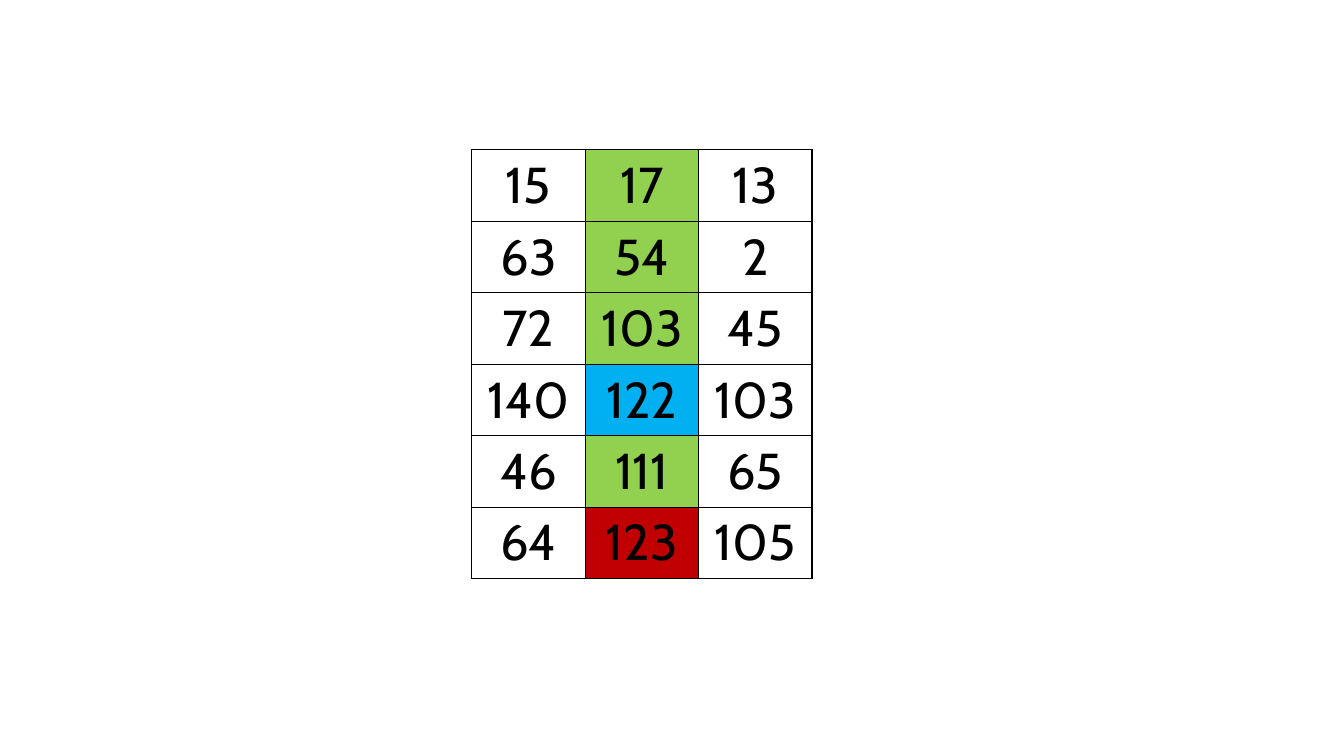
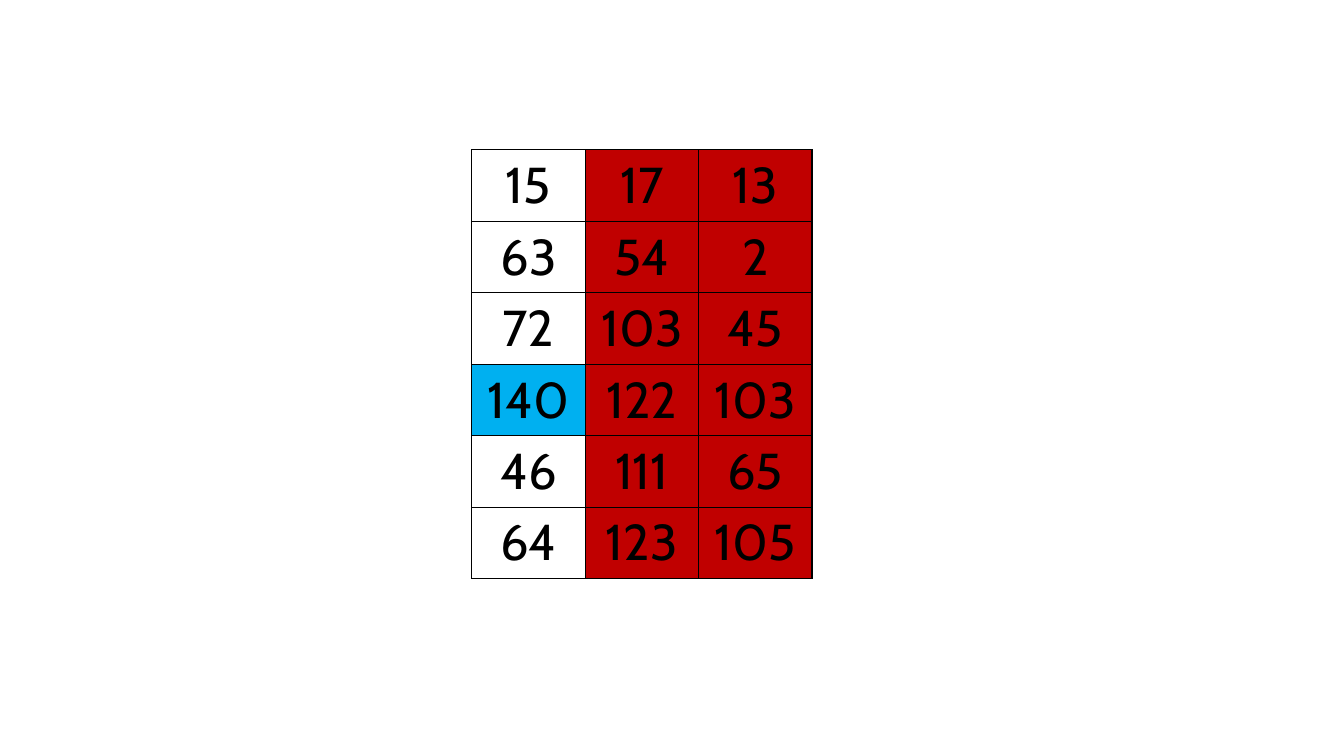
from dataclasses import dataclass

from lxml.etree import SubElement
from pptx import Presentation
from pptx.dml.color import RGBColor
from pptx.enum.text import MSO_ANCHOR, PP_ALIGN
from pptx.oxml.ns import qn
from pptx.util import Pt


@dataclass(frozen=True)
class Theme:
    font: str = "Cabin"
    number_size: int = 36
    ink: str = "000000"
    plain: str = "FFFFFF"
    candidate: str = "92D050"
    current: str = "00B0F0"
    excluded: str = "C00000"
    border_width: int = 1


THEME = Theme()
SLIDE_SIZE = (960, 540)
GRID_BOX = (337, 107, 243, 306)

NUMBERS = [
    [15, 17, 13],
    [63, 54, 2],
    [72, 103, 45],
    [140, 122, 103],
    [46, 111, 65],
    [64, 123, 105],
]


def middle_column_colour(row, column):
    """Colour of a cell while the middle column is being searched."""
    if column != 1:
        return THEME.plain
    return {3: THEME.current, 5: THEME.excluded}.get(row, THEME.candidate)


def left_column_colour(row, column):
    """Colour of a cell once only the left column remains."""
    if column > 0:
        return THEME.excluded
    return THEME.current if row == 3 else THEME.plain


def write_text(frame, text, *, size, colour, font=THEME.font,
               align=PP_ALIGN.CENTER):
    paragraph = frame.paragraphs[0]
    paragraph.alignment = align
    run = paragraph.add_run()
    run.text = text
    run.font.name = font
    run.font.size = Pt(size)
    run.font.bold = False
    run.font.color.rgb = RGBColor.from_string(colour)


def outline_cell(cell, colour, width):
    properties = cell._tc.get_or_add_tcPr()
    for side in ("a:lnL", "a:lnR", "a:lnT", "a:lnB"):
        line = SubElement(properties, qn(side), w=str(Pt(width)))
        fill = SubElement(line, qn("a:solidFill"))
        SubElement(fill, qn("a:srgbClr"), val=colour)


def add_number_grid(slide, box, numbers, colour_of):
    """Draw the numbers as a table; colour_of(row, column) gives each fill."""
    left, top, width, height = box
    row_count, column_count = len(numbers), len(numbers[0])
    grid = slide.shapes.add_table(
        row_count, column_count, Pt(left), Pt(top), Pt(width), Pt(height)).table
    grid.first_row = grid.horz_banding = False
    for column in grid.columns:
        column.width = Pt(width / column_count)
    for r, row_numbers in enumerate(numbers):
        grid.rows[r].height = Pt(height / row_count)
        for c, number in enumerate(row_numbers):
            cell = grid.cell(r, c)
            cell.vertical_anchor = MSO_ANCHOR.MIDDLE
            outline_cell(cell, THEME.ink, THEME.border_width)
            cell.fill.solid()
            cell.fill.fore_color.rgb = RGBColor.from_string(colour_of(r, c))
            write_text(cell.text_frame, str(number),
                       size=THEME.number_size, colour=THEME.ink)


def main():
    deck = Presentation()
    deck.slide_width, deck.slide_height = map(Pt, SLIDE_SIZE)
    blank_layout = deck.slide_layouts[6]
    for colour_of in (middle_column_colour, left_column_colour):
        slide = deck.slides.add_slide(blank_layout)
        add_number_grid(slide, GRID_BOX, NUMBERS, colour_of)
    deck.save("out.pptx")


if __name__ == "__main__":
    main()
